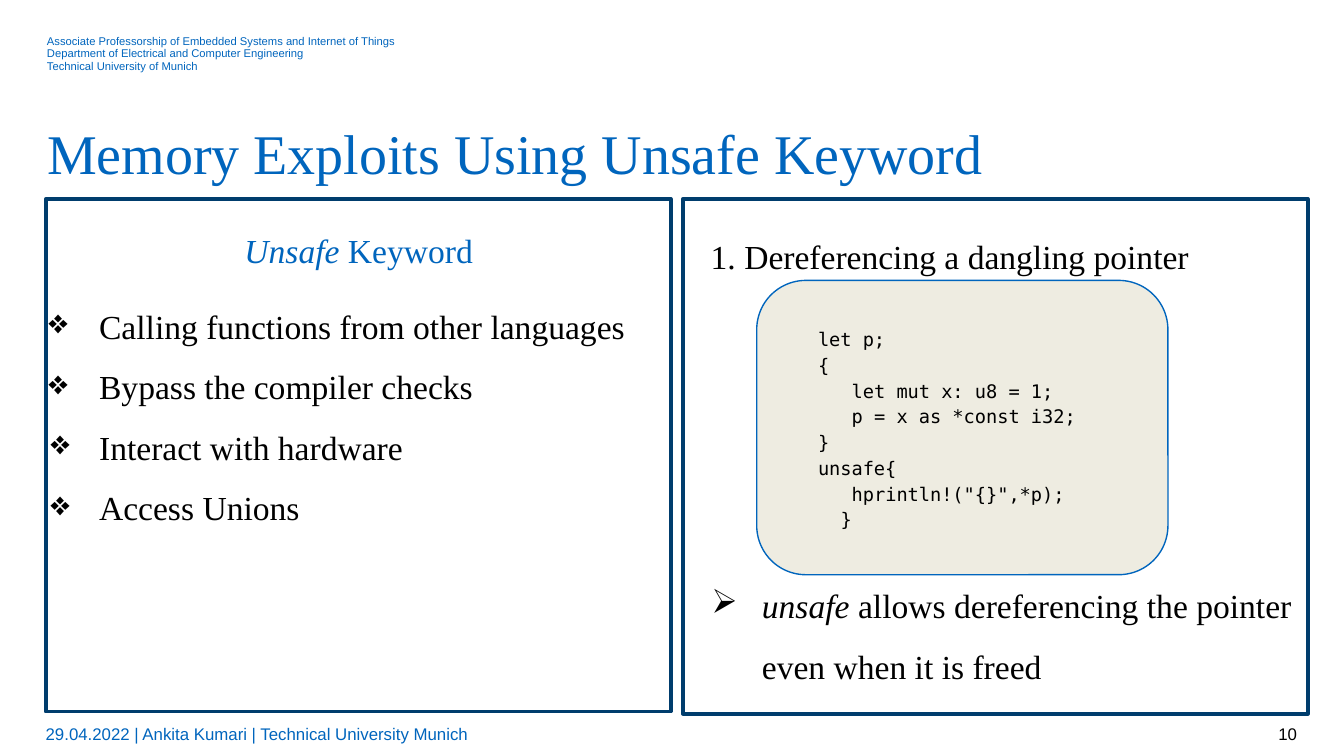
"""Build a slide on memory exploits that use the unsafe keyword."""
from lxml import etree
from pptx import Presentation
from pptx.dml.color import RGBColor
from pptx.enum.shapes import MSO_SHAPE
from pptx.enum.text import MSO_ANCHOR, PP_ALIGN
from pptx.oxml.ns import qn
from pptx.util import Pt

ROUNDED, RECTANGLE = MSO_SHAPE.ROUNDED_RECTANGLE, MSO_SHAPE.RECTANGLE
TOP, MIDDLE, BOTTOM = MSO_ANCHOR.TOP, MSO_ANCHOR.MIDDLE, MSO_ANCHOR.BOTTOM
LEFT, CENTER, RIGHT = PP_ALIGN.LEFT, PP_ALIGN.CENTER, PP_ALIGN.RIGHT
color = RGBColor.from_string
BLUE, NAVY, BLACK, BEIGE = "0065BD", "003D6D", "000000", "EEECE1"
SERIF, SANS, MONO = "Times New Roman", "Arial", "DejaVu Sans Mono"
CODE_SIZE = 10
CHARACTER_WIDTH = 6.02


def add_box(left, top, width, height, margins=(0, 0, 0, 0), anchor=TOP):
    box = slide.shapes.add_textbox(Pt(left), Pt(top), Pt(width), Pt(height))
    frame = box.text_frame
    frame.word_wrap = True
    frame.vertical_anchor = anchor
    frame.margin_left, frame.margin_top, frame.margin_right, frame.margin_bottom = map(Pt, margins)
    return frame


def add_para(frame, runs, size, font, ink, spacing=1.0, align=LEFT, indent=0, hanging=0, bullet=None):
    para = frame.paragraphs[0]
    if para.runs:
        para = frame.add_paragraph()
    para.alignment = align
    para.line_spacing = spacing
    properties = para._p.get_or_add_pPr()
    properties.set("marL", str(Pt(indent)))
    properties.set("indent", str(Pt(-hanging)))
    if bullet:
        bullet_color = etree.SubElement(properties, qn("a:buClr"))
        etree.SubElement(bullet_color, qn("a:srgbClr"), val=BLACK)
        etree.SubElement(properties, qn("a:buChar"), char=bullet)
    for text, italic in runs:
        span = para.add_run()
        span.text = text
        span.font.size = Pt(size)
        span.font.name = font
        span.font.italic = italic
        span.font.color.rgb = color(ink)
    return para


deck = Presentation()
deck.slide_width, deck.slide_height = Pt(720), Pt(405)
slide = deck.slides.add_slide(deck.slide_layouts[6])

header = add_box(25.2, 18.7, 606, 21)
for line in (
    "Associate Professorship of Embedded Systems and Internet of Things",
    "Department of Electrical and Computer Engineering",
    "Technical University of Munich",
):
    add_para(header, [(line, False)], 6, SANS, BLUE, spacing=0.94)

exploit = add_box(372.2, 113.8, 328.3, 285, margins=(0, 12.8, 0, 0))
add_para(exploit, [("1. Dereferencing a dangling pointer", False)], 18, SERIF, BLACK, indent=8.6)
conclusion = add_para(
    exploit,
    [("unsafe ", True), ("allows dereferencing the pointer even when it is freed", False)],
    18, SERIF, BLACK, spacing=1.5, indent=36, hanging=27, bullet="➢",
)
conclusion.space_before = Pt(154.5)

code_panel = slide.shapes.add_shape(ROUNDED, Pt(405.4), Pt(150.2), Pt(220.3), Pt(157.7))
code_panel.adjustments[0] = 0.167
code_panel.shadow.inherit = False
code_panel.fill.solid()
code_panel.fill.fore_color.rgb = color(BEIGE)
code_panel.line.color.rgb = color(BLUE)
code_panel.line.width = Pt(0.75)
code = code_panel.text_frame
code.word_wrap = True
code.vertical_anchor = MIDDLE
code.margin_left = code.margin_top = code.margin_right = code.margin_bottom = Pt(7.2)
for columns, line in (
    (3, "let p;"),
    (3, "{"),
    (6, "let mut x: u8 = 1;"),
    (6, "p = x as *const i32;"),
    (3, "}"),
    (3, "unsafe{"),
    (6, 'hprintln!("{}",*p);'),
    (5, "}"),
):
    add_para(code, [(line, False)], CODE_SIZE, MONO, BLACK, spacing=1.15, indent=columns * CHARACTER_WIDTH)

for left, width, text, align, ink in (
    (24.5, 509, "29.04.2022 | Ankita Kumari | Technical University Munich", LEFT, BLUE),
    (533.5, 161.3, "10", RIGHT, BLACK),
):
    footer = add_box(left, 382.3, width, 21.6, margins=(0, 2.9, 0, 2.9), anchor=MIDDLE)
    add_para(footer, [(text, False)], 9, SANS, ink, align=align)

for left, height in ((365.8, 275.8), (24.5, 274.6)):
    panel = slide.shapes.add_shape(RECTANGLE, Pt(left), Pt(106.6), Pt(334.8), Pt(height))
    panel.shadow.inherit = False
    panel.fill.background()
    panel.line.color.rgb = color(NAVY)
    panel.line.width = Pt(2)

uses = add_box(10, 105.8, 692.6, 310.3 - 21.1, margins=(7.2, 58, 7.2, 3.6))
for row, (text, hanging) in enumerate((
    ("Calling functions from other languages", 27),
    ("Bypass the compiler checks", 27),
    ("Interact with hardware", 26),
    ("Access Unions", 26),
)):
    add_para(uses, [(text, False)], 18, SERIF, BLACK, spacing=1.5 if row else 1.0,
             indent=36, hanging=hanging, bullet="❖")

heading = add_box(37.4, 118.1, 309.6, 28.8, margins=(7.2, 5, 7.2, 3.6))
add_para(heading, [("Unsafe", True), (" Keyword", False)], 18, SERIF, BLUE, align=CENTER)

title = add_box(25.2, 60.5, 670.3, 38.9, anchor=BOTTOM)
add_para(title, [("Memory Exploits Using Unsafe Keyword", False)], 30, SERIF, BLUE, spacing=1.07)

deck.save("out.pptx")
